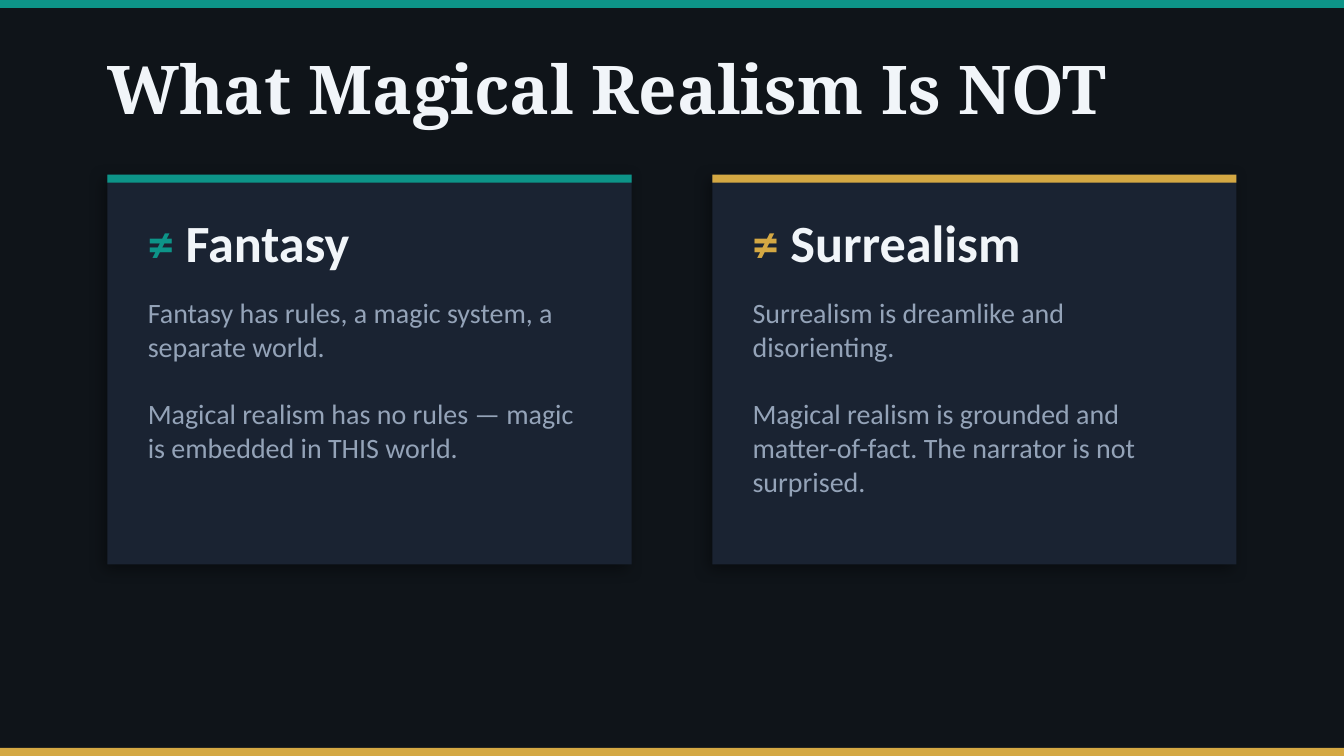
"""Build a slide that sets magical realism apart from two neighbouring genres."""
from lxml.etree import SubElement
from pptx import Presentation
from pptx.dml.color import RGBColor
from pptx.enum.shapes import MSO_SHAPE as Shape
from pptx.enum.text import MSO_ANCHOR as Anchor
from pptx.oxml.ns import qn
from pptx.util import Inches, Pt

COLORS = {
    "night": "0F1419",
    "card": "1A2332",
    "teal": "0D9488",
    "gold": "D4A843",
    "white": "F1F5F9",
    "gray": "94A3B8",
}
WIDTH = 10
HEIGHT = WIDTH * 9 / 16
BAR = 0.06
MARGIN = 0.8
CARD_TOP, CARD_WIDTH, CARD_HEIGHT, CARD_GAP = 1.3, 3.9, 2.9, 0.6
PADDING = 0.3
CARDS = [
    ("teal", "Fantasy", [
        "Fantasy has rules, a magic system, a separate world.",
        "Magical realism has no rules — magic is embedded in THIS world.",
    ]),
    ("gold", "Surrealism", [
        "Surrealism is dreamlike and disorienting.",
        "Magical realism is grounded and matter-of-fact. The narrator is not surprised.",
    ]),
]


def color(name):
    return RGBColor.from_string(COLORS[name])


def add_rect(page, left, top, width, height, fill):
    rect = page.shapes.add_shape(
        Shape.RECTANGLE, Inches(left), Inches(top), Inches(width), Inches(height))
    rect.shadow.inherit = False
    rect.fill.solid()
    rect.fill.fore_color.rgb = color(fill)
    rect.line.fill.background()
    return rect


def add_shadow(rect):
    effects = rect._element.spPr.find(qn("a:effectLst"))
    shadow = SubElement(effects, qn("a:outerShdw"), blurRad=str(Pt(8)),
                        dist=str(Pt(3)), dir=str(135 * 60000),
                        algn="bl", rotWithShape="0")
    black = SubElement(shadow, qn("a:srgbClr"), val="000000")
    SubElement(black, qn("a:alpha"), val="40000")


def add_text(page, left, top, width, height, paragraphs, size,
             font="Calibri", bold=False, anchor=Anchor.MIDDLE, gap=0):
    box = page.shapes.add_textbox(
        Inches(left), Inches(top), Inches(width), Inches(height))
    frame = box.text_frame
    frame.word_wrap = True
    frame.vertical_anchor = anchor
    frame.margin_left = frame.margin_right = 0
    frame.margin_top = frame.margin_bottom = 0
    for index, runs in enumerate(paragraphs):
        para = frame.add_paragraph() if index else frame.paragraphs[0]
        if index:
            para.space_before = Pt(gap)
        for text, tint in runs:
            span = para.add_run()
            span.text = text
            span.font.name = font
            span.font.size = Pt(size)
            span.font.bold = bold
            span.font.color.rgb = color(tint)


def add_card(page, left, accent, genre, sentences):
    add_shadow(add_rect(page, left, CARD_TOP, CARD_WIDTH, CARD_HEIGHT, "card"))
    add_rect(page, left, CARD_TOP, CARD_WIDTH, BAR, accent)
    text_left, text_width = left + PADDING, CARD_WIDTH - 2 * PADDING
    add_text(page, text_left, CARD_TOP + 0.25, text_width, 0.5,
             [[("≠ ", accent), (genre, "white")]], 28, bold=True)
    add_text(page, text_left, CARD_TOP + 0.9, text_width, 2,
             [[(sentence, "gray")] for sentence in sentences], 15,
             anchor=Anchor.TOP, gap=18.3)


def main():
    deck = Presentation()
    deck.slide_width, deck.slide_height = Inches(WIDTH), Inches(HEIGHT)
    page = deck.slides.add_slide(deck.slide_layouts[6])
    page.background.fill.solid()
    page.background.fill.fore_color.rgb = color("night")

    add_rect(page, 0, 0, WIDTH, BAR, "teal")
    add_text(page, MARGIN, 0.3, WIDTH - 2 * MARGIN, 0.7,
             [[("What Magical Realism Is NOT", "white")]], 36,
             font="Noto Serif", bold=True)
    for index, (accent, genre, sentences) in enumerate(CARDS):
        left = MARGIN + index * (CARD_WIDTH + CARD_GAP)
        add_card(page, left, accent, genre, sentences)
    add_rect(page, 0, HEIGHT - BAR, WIDTH, BAR, "gold")

    deck.save("out.pptx")


if __name__ == "__main__":
    main()
